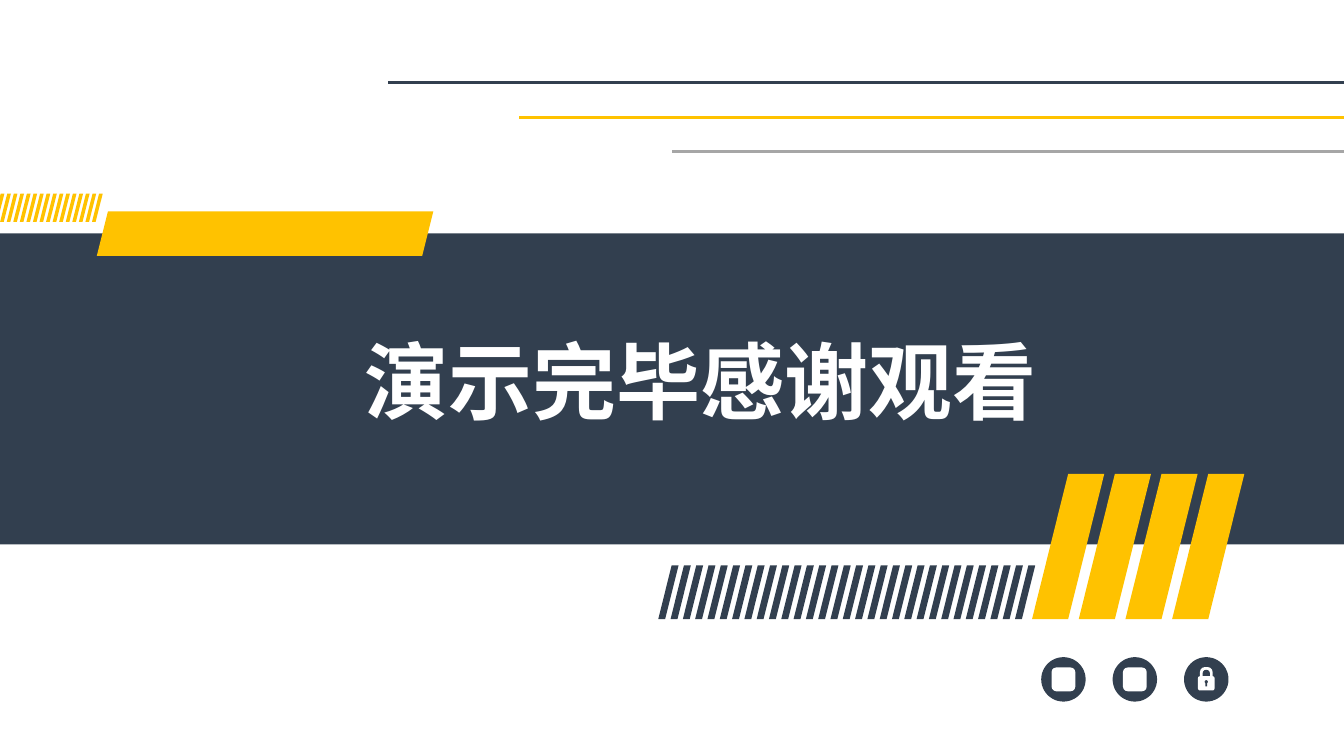
from dataclasses import dataclass

from lxml.etree import SubElement
from pptx import Presentation
from pptx.dml.color import RGBColor
from pptx.enum.shapes import MSO_CONNECTOR as CONN, MSO_SHAPE as SHAPE
from pptx.enum.text import MSO_AUTO_SIZE as AUTO, PP_ALIGN as ALIGN
from pptx.oxml.ns import qn
from pptx.util import Cm, Pt


@dataclass(frozen=True)
class Theme:
    navy: RGBColor = RGBColor.from_string("323F4F")
    yellow: RGBColor = RGBColor.from_string("FFC200")
    gray: RGBColor = RGBColor.from_string("A6A6A6")
    white: RGBColor = RGBColor.from_string("FFFFFF")
    font: str = "Noto Sans CJK SC"
    title: Pt = Pt(60)
    rule: Pt = Pt(2.25)


theme = Theme()
WIDTH, HEIGHT = 33.87, 19.05

prs = Presentation()
prs.slide_width, prs.slide_height = Cm(WIDTH), Cm(HEIGHT)
s = prs.slides.add_slide(prs.slide_layouts[6])


def add_shape(kind, x, y, w, h, color, adjust=None):
    sp = s.shapes.add_shape(kind, Cm(x), Cm(y), Cm(w), Cm(h))
    sp.shadow.inherit = False
    sp.fill.solid()
    sp.fill.fore_color.rgb = color
    sp.line.fill.background()
    if adjust is not None:
        sp.adjustments[0] = adjust


def add_stripes(count, first, last, y, w, h, color, slant):
    step = (last - first) / (count - 1)
    for i in range(count):
        add_shape(SHAPE.PARALLELOGRAM, first + i * step, y, w, h, color, slant)


add_shape(SHAPE.RECTANGLE, 0, 5.88, WIDTH, 7.84, theme.navy)

for x, y, color in [
    (9.78, 2.08, theme.navy),
    (13.08, 2.95, theme.yellow),
    (16.94, 3.81, theme.gray),
]:
    rule = s.shapes.add_connector(CONN.STRAIGHT, Cm(x), Cm(y), Cm(WIDTH), Cm(y))
    rule.line.color.rgb = color
    rule.line.width = theme.rule
    SubElement(rule._element.spPr, qn("a:effectLst"))

add_shape(SHAPE.PARALLELOGRAM, 2.44, 5.33, 8.48, 1.12, theme.yellow, 0.25)
add_stripes(4, 26.01, 29.54, 11.94, 1.82, 3.66, theme.yellow, 0.5)
add_stripes(30, 16.59, 25.58, 14.25, 0.51, 1.35, theme.navy, 0.66)
add_stripes(16, -0.16, 2.32, 4.88, 0.27, 0.71, theme.yellow, 0.66)

title = s.shapes.add_textbox(Cm(5.46), Cm(7.67), Cm(24.38), Cm(3.07))
tf = title.text_frame
tf.word_wrap = True
tf.auto_size = AUTO.SHAPE_TO_FIT_TEXT
p = tf.paragraphs[0]
p.text = "演示完毕感谢观看"
p.alignment = ALIGN.CENTER
p.line_spacing = 1.2
p.font.size = theme.title
p.font.bold = True
p.font.color.rgb = theme.white
p.font.name = theme.font
east_asian = SubElement(p._p.pPr.find(qn("a:defRPr")), qn("a:ea"))
east_asian.set("typeface", theme.font)

for i in range(3):
    add_shape(SHAPE.OVAL, 26.24 + 1.8 * i, 16.56, 1.12, 1.12, theme.navy)
for i in range(2):
    add_shape(SHAPE.ROUNDED_RECTANGLE, 26.5 + 1.8 * i, 16.82, 0.6, 0.6, theme.white, 0.2)

add_shape(SHAPE.ROUND_2_SAME_RECTANGLE, 30.24, 16.81, 0.32, 0.25, theme.white, 0.5)
add_shape(SHAPE.ROUND_2_SAME_RECTANGLE, 30.31, 16.88, 0.18, 0.16, theme.navy, 0.5)
add_shape(SHAPE.ROUNDED_RECTANGLE, 30.19, 17.04, 0.42, 0.36, theme.white, 0.15)
add_shape(SHAPE.OVAL, 30.36, 17.14, 0.08, 0.08, theme.navy)
add_shape(SHAPE.RECTANGLE, 30.38, 17.18, 0.04, 0.12, theme.navy)

prs.save("out.pptx")
